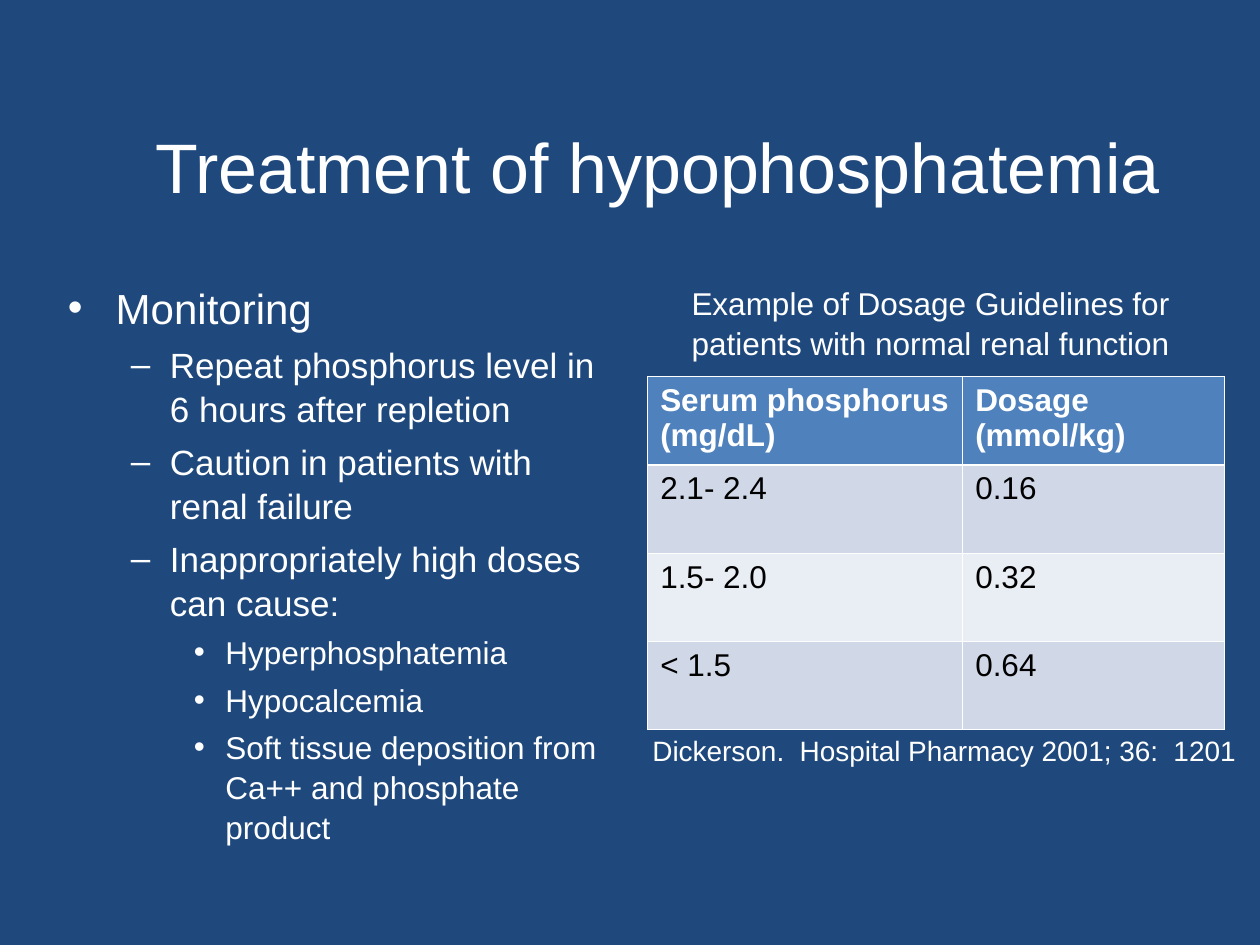
from lxml import etree
from pptx import Presentation, util as u
from pptx.dml.color import RGBColor
from pptx.enum import text as t
from pptx.oxml.ns import qn

HUES = {"back": "1F497D", "white": "FFFFFF", "black": "000000",
        "head": "4F81BD", "odd": "D0D8E8", "even": "E9EDF4"}
FONT = "Arial"
TITLE = "Treatment of hypophosphatemia"
POINTS = [
    (0, "Monitoring"),
    (1, "Repeat phosphorus level in 6 hours after repletion"),
    (1, "Caution in patients with renal failure"),
    (1, "Inappropriately high doses can cause:"),
    (2, "Hyperphosphatemia"),
    (2, "Hypocalcemia"),
    (2, "Soft tissue deposition from Ca++ and phosphate product"),
]
LEVELS = [("•", 0.38, 0.38, 24, 6), ("–", 0.81, 0.31, 20, 5), ("•", 1.25, 0.25, 18, 4.5)]
CAPTION = "Example of Dosage Guidelines for patients with normal renal function"
DOSES = [
    (["Serum phosphorus (mg/dL)"], ["Dosage", "(mmol/kg)"]),
    (["2.1- 2.4"], ["0.16"]),
    (["1.5- 2.0"], ["0.32"]),
    (["< 1.5"], ["0.64"]),
]
WIDTHS = (2.5, 2.08)
ROW = 0.7
SOURCE = "Dickerson.  Hospital Pharmacy 2001; 36:  1201"


def paint(fill, hue):
    fill.solid()
    fill.fore_color.rgb = RGBColor.from_string(HUES[hue])


def write(para, words, size, hue="white", bold=False):
    run = para.add_run()
    run.text = words
    font = run.font
    font.name, font.size, font.bold = FONT, u.Pt(size), bold
    font.color.rgb = RGBColor.from_string(HUES[hue])


def add_box(slide, *spot):
    frame = slide.shapes.add_textbox(*map(u.Inches, spot)).text_frame
    frame.word_wrap = True
    return frame


def add_line(slide, spot, words, size, align, anchor=t.MSO_ANCHOR.TOP):
    frame = add_box(slide, *spot)
    frame.vertical_anchor = anchor
    para = frame.paragraphs[0]
    para.alignment = align
    para.line_spacing = 1.05
    write(para, words, size)


def add_mark(para, mark, left, hang):
    props = para._p.get_or_add_pPr()
    props.set("marL", str(u.Inches(left)))
    props.set("indent", str(-u.Inches(hang)))
    tint = etree.SubElement(props, qn("a:buClr"))
    etree.SubElement(tint, qn("a:srgbClr"), val=HUES["white"])
    etree.SubElement(props, qn("a:buFont"), typeface=FONT)
    etree.SubElement(props, qn("a:buChar"), char=mark)


def add_points(slide):
    frame = add_box(slide, 0.44, 2.17, 4.51, 4.5)
    for i, (level, words) in enumerate(POINTS):
        para = frame.add_paragraph() if i else frame.paragraphs[0]
        mark, left, hang, size, gap = LEVELS[level]
        add_mark(para, mark, left, hang)
        para.level = level
        para.line_spacing = 1.05
        para.space_before = u.Pt(gap if i else 0)
        write(para, words, size)


def add_edges(cell, row):
    props = cell._tc.get_or_add_tcPr()
    thick = {"lnT": row == 1, "lnB": row == 0}
    for i, side in enumerate(("lnL", "lnR", "lnT", "lnB")):
        wide = u.Pt(1.47 if thick.get(side) else 0.45)
        edge = etree.Element(qn("a:" + side), w=str(wide))
        fill = etree.SubElement(edge, qn("a:solidFill"))
        etree.SubElement(fill, qn("a:srgbClr"), val=HUES["white"])
        props.insert(i, edge)


def add_doses(slide):
    spot = (5.14, 2.99, sum(WIDTHS), ROW * len(DOSES))
    table = slide.shapes.add_table(len(DOSES), len(WIDTHS), *map(u.Inches, spot)).table
    for col, wide in zip(table.columns, WIDTHS):
        col.width = u.Inches(wide)
    for r, row in enumerate(DOSES):
        table.rows[r].height = u.Inches(ROW)
        hue = "head" if r == 0 else "odd" if r % 2 else "even"
        for c, lines in enumerate(row):
            cell = table.cell(r, c)
            paint(cell.fill, hue)
            add_edges(cell, r)
            for i, words in enumerate(lines):
                frame = cell.text_frame
                para = frame.add_paragraph() if i else frame.paragraphs[0]
                write(para, words, 18, "black" if r else "white", r == 0)


def main():
    deck = Presentation()
    deck.slide_width, deck.slide_height = u.Inches(10), u.Inches(7.5)
    slide = deck.slides.add_slide(deck.slide_layouts[6])
    paint(slide.background.fill, "back")
    mid, left = t.PP_ALIGN.CENTER, t.PP_ALIGN.LEFT
    add_line(slide, (0.67, 0.67, 9.09, 1.25), TITLE, 40, mid, t.MSO_ANCHOR.MIDDLE)
    add_points(slide)
    add_doses(slide)
    add_line(slide, (4.98, 2.19, 4.81, 0.7), CAPTION, 18, mid)
    add_line(slide, (5.08, 5.76, 4.9, 0.37), SOURCE, 16, left)
    deck.save("out.pptx")


if __name__ == "__main__":
    main()
